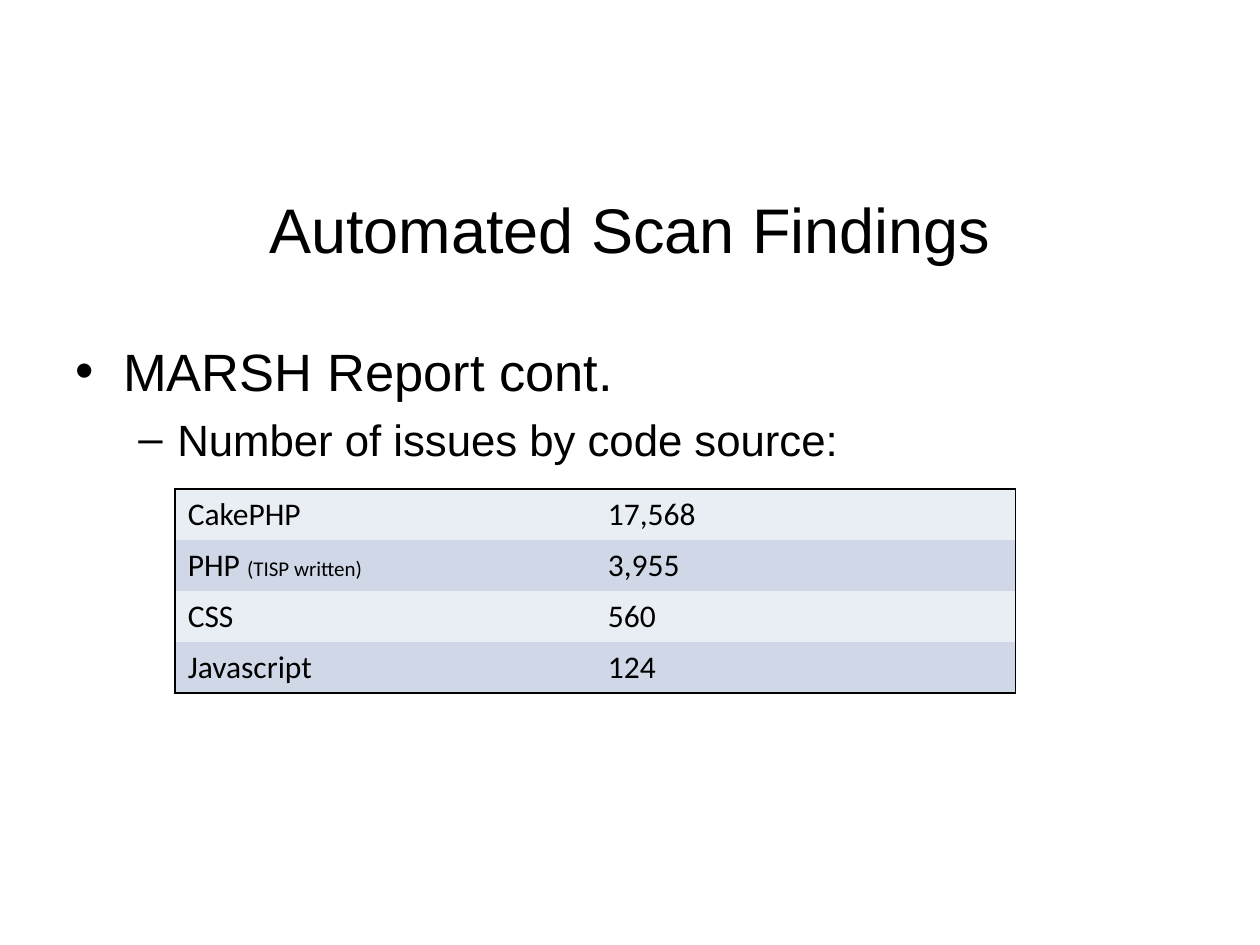
import dataclasses

import pptx
import pptx.dml.color
import pptx.enum.text
import pptx.oxml
import pptx.oxml.ns
import pptx.util

Inches = pptx.util.Inches
Pt = pptx.util.Pt
RGBColor = pptx.dml.color.RGBColor
ALIGN = pptx.enum.text.PP_ALIGN
ANCHOR = pptx.enum.text.MSO_ANCHOR

BLACK = RGBColor(0x00, 0x00, 0x00)
PALE = RGBColor(0xE9, 0xED, 0xF4)
BLUE = RGBColor(0xD0, 0xD8, 0xE8)
PLAIN_STYLE = "{2D5ABB26-0587-4C30-8999-92F81FD0307C}"


@dataclasses.dataclass
class Point:
    text: str
    mark: str
    size: float
    left: float
    hang: float
    space: float


@dataclasses.dataclass
class Source:
    name: str
    count: str
    note: str = ""


POINTS = [
    Point("MARSH Report cont.", "•", 30, 0.38, 0.38, 6),
    Point("Number of issues by code source:", "–", 25, 0.81, 0.31, 6),
]
SOURCES = [
    Source("CakePHP", "17,568"),
    Source("PHP ", "3,955", "(TISP written)"),
    Source("CSS", "560"),
    Source("Javascript", "124"),
]


def add_text(para, text: str, *, size: float, font: str = "Arial",
             color: RGBColor = BLACK) -> None:
    run = para.add_run()
    run.text = text
    run.font.size = Pt(size)
    run.font.name = font
    run.font.color.rgb = color


def add_xml(parent, tag: str, body: str = "", **attrs: str) -> None:
    """Append one DrawingML element to parent."""
    pairs = " ".join(f'{key}="{value}"' for key, value in attrs.items())
    space = pptx.oxml.ns.nsdecls("a")
    parent.append(pptx.oxml.parse_xml(f"<a:{tag} {space} {pairs}>{body}</a:{tag}>"))


def draw_title(slide, text: str) -> None:
    title = slide.shapes.title
    title.left, title.top = Inches(0.5), Inches(1.19)
    title.width, title.height = Inches(9), Inches(1.25)
    title.text_frame.vertical_anchor = ANCHOR.MIDDLE
    para = title.text_frame.paragraphs[0]
    para.alignment = ALIGN.CENTER
    add_text(para, text, size=36)


def draw_points(slide, points: list[Point]) -> None:
    box = slide.shapes.add_textbox(Inches(0.5), Inches(2.64), Inches(9), Inches(1.2))
    frame = box.text_frame
    frame.word_wrap = True
    for level, point in enumerate(points):
        para = frame.add_paragraph() if level else frame.paragraphs[0]
        para.level = level
        para.space_before = Pt(point.space)
        props = para._p.get_or_add_pPr()
        props.set("marL", str(Inches(point.left)))
        props.set("indent", str(-Inches(point.hang)))
        add_xml(props, "buFont", typeface="Arial")
        add_xml(props, "buChar", char=point.mark)
        add_text(para, point.text, size=point.size)


def draw_edges(cell, sides: dict[str, bool]) -> None:
    """Draw a thin black line on each chosen side of the cell."""
    props = cell._tc.get_or_add_tcPr()
    ink = f'<a:solidFill><a:srgbClr val="{BLACK}"/></a:solidFill>'
    for side, shown in sides.items():
        if shown:
            add_xml(props, f"ln{side}", ink, w=str(Pt(1)))


def draw_table(slide, sources: list[Source]) -> None:
    last = len(sources) - 1
    frame = slide.shapes.add_table(len(sources), 2, Inches(1.39), Inches(3.88),
                                   Inches(6.67), Inches(1.62))
    table = frame.table
    table.first_row = table.horz_banding = False
    table._tbl.tblPr.find(pptx.oxml.ns.qn("a:tableStyleId")).text = PLAIN_STYLE
    for row, source in enumerate(sources):
        for col, text in enumerate((source.name, source.count)):
            cell = table.cell(row, col)
            draw_edges(cell, {"L": col == 0, "R": col == 1,
                              "T": row == 0, "B": row == last})
            cell.fill.solid()
            cell.fill.fore_color.rgb = BLUE if row % 2 else PALE
            para = cell.text_frame.paragraphs[0]
            add_text(para, text, size=18, font="Calibri")
            if col == 0 and source.note:
                add_text(para, source.note, size=12, font="Calibri")


def main() -> None:
    deck = pptx.Presentation()
    deck.slide_width, deck.slide_height = Inches(10), Inches(7.5)
    slide = deck.slides.add_slide(deck.slide_layouts[5])
    draw_title(slide, "Automated Scan Findings")
    draw_points(slide, POINTS)
    draw_table(slide, SOURCES)
    deck.save("out.pptx")


if __name__ == "__main__":
    main()
